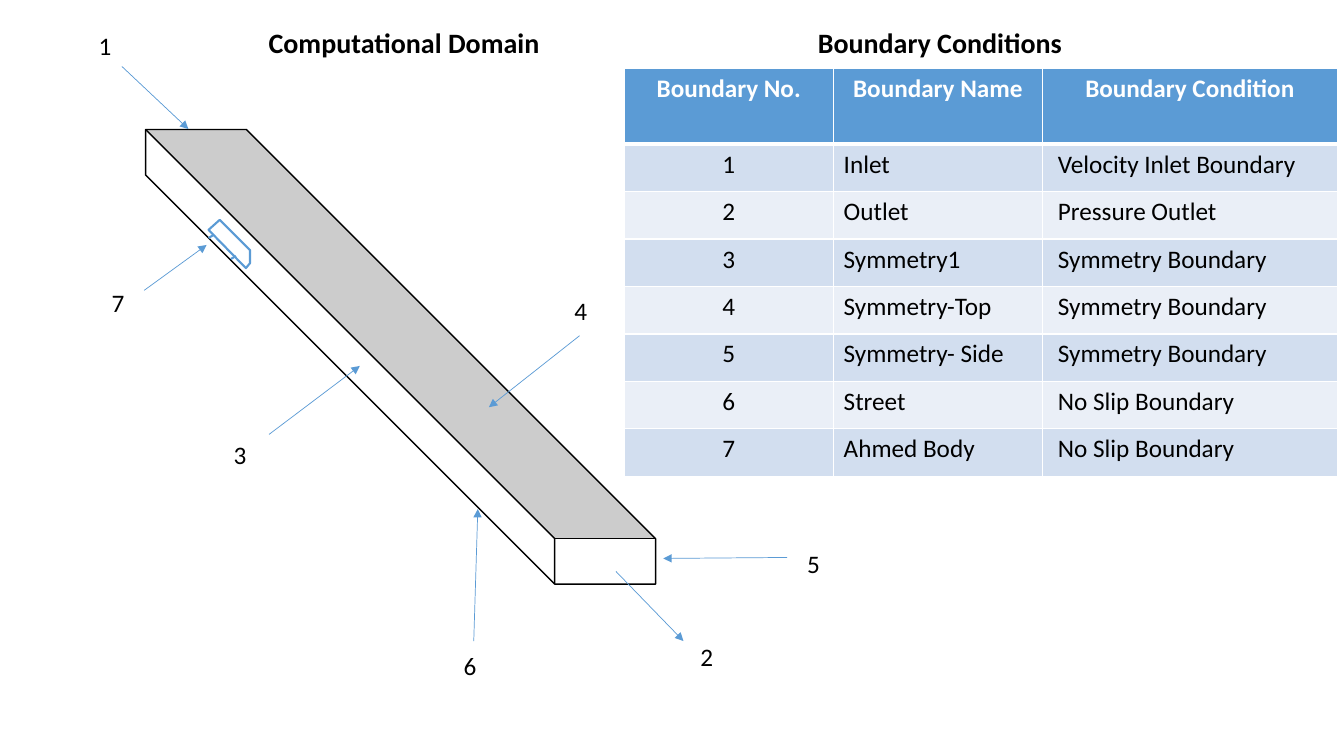
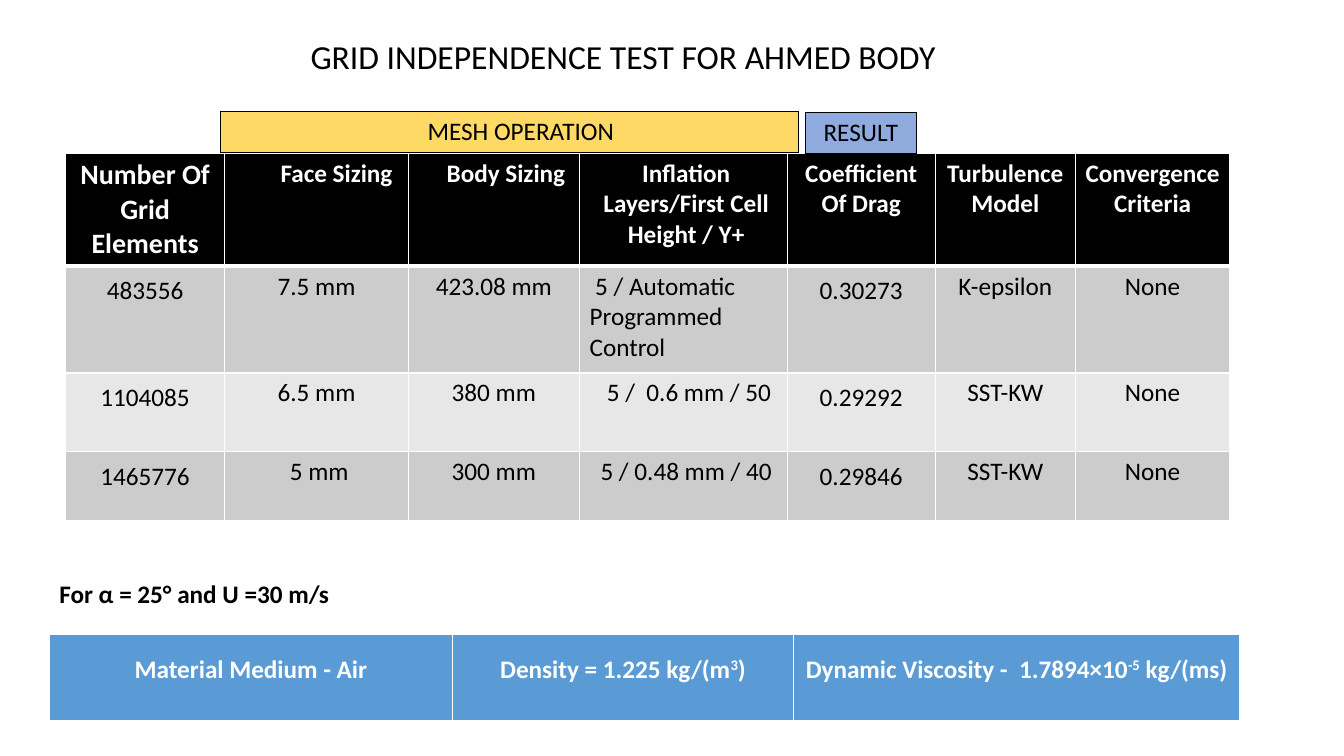
from pptx import Presentation
from pptx.dml.color import RGBColor
from pptx.enum.shapes import MSO_CONNECTOR as CONN, MSO_SHAPE as SHAPE
from pptx.enum.text import MSO_ANCHOR as ANCHOR, PP_ALIGN as ALIGN
from pptx.oxml.ns import qn
from pptx.util import Pt
from lxml.etree import SubElement

FONT = "Calibri"
BLACK, WHITE, BLUE = "000000", "FFFFFF", "5B9BD5"
GOLD, PERIWINKLE = "FFD966", "8FAADC"
BLUE_BANDS = ("D2DEEF", "EAEFF7")
GREY_BANDS = ("CCCCCC", "E7E7E7")
LEFT, CENTER = ALIGN.LEFT, ALIGN.CENTER

# Content: a cell is text or (text, extra left margin); ^...^ is superscript
BOUNDARIES = [
    ("Boundary No.", "Boundary Name", "Boundary Condition"),
    ("1", "Inlet", ("Velocity Inlet Boundary", 4)),
    ("2", "Outlet", ("Pressure Outlet", 4)),
    ("3", "Symmetry1", ("Symmetry Boundary", 4)),
    ("4", "Symmetry-Top", ("Symmetry Boundary", 4)),
    ("5", "Symmetry- Side", ("Symmetry Boundary", 4)),
    ("6", "Street", ("No Slip Boundary", 4)),
    ("7", "Ahmed Body", ("No Slip Boundary", 4)),
]
# Label, its left and top, arrow start, arrow end
CALLOUTS = [
    ("1", (63.4, 18), (87.1, 47.5), (134.6, 92.2)),
    ("2", (493.2, 454.3), (440, 408.2), (488.2, 457.9)),
    ("3", (159.8, 310.3), (192.2, 310.3), (257, 261.4)),
    ("4", (403.2, 207.4), (414, 239.8), (349.2, 290.9)),
    ("5", (569.5, 388.1), (562.3, 398.2), (473.8, 398.9)),
    ("6", (324, 460.8), (338.4, 457.9), (341.3, 363.6)),
    ("7", (72.7, 201.6), (103, 207.4), (147.6, 175)),
]
BODY_OUTLINE = [(157, 157), (178.6, 178.6), (178.6, 188), (175.7, 191.5), (149, 164.2)]
BODY_STILTS = [((149, 170), (152.6, 167.8)), ((168.5, 182.9), (164.9, 185))]

GRID_TEST = [
    ("Number Of Grid Elements", ("Face Sizing", 32.6), ("Body Sizing", 20.3),
     ("Inflation Layers/First Cell Height / Y+", 4), "Coefficient Of Drag",
     "Turbulence Model", "Convergence Criteria"),
    ("483556", "7.5 mm", "423.08 mm", "5 / Automatic\nProgrammed Control",
     "0.30273", "K-epsilon", "None"),
    ("1104085", "6.5 mm", "380 mm", ("5 /  0.6 mm / 50", 8), "0.29292", "SST-KW", "None"),
    ("1465776", ("5 mm", 4), "300 mm", ("5 / 0.48 mm / 40", 4), "0.29846", "SST-KW", "None"),
]
AIR = [("Material Medium - Air", "Density = 1.225 kg/(m^3^)",
        "Dynamic Viscosity -  1.7894×10^-5^ kg/(ms)")]


def rgb(color):
    return RGBColor.from_string(color)


def style(p, size=18, color=BLACK, bold=False, align=LEFT):
    p.alignment = align
    f = p.font
    f.name, f.size, f.bold = FONT, Pt(size), bold
    f.color.rgb = rgb(color)


def new_slide(title, left, top, width, height, **fmt):
    s = prs.slides.add_slide(prs.slide_layouts[5])
    sp = s.shapes.title
    sp.left, sp.top, sp.width, sp.height = Pt(left), Pt(top), Pt(width), Pt(height)
    tf = sp.text_frame
    tf.text, tf.vertical_anchor = title, ANCHOR.MIDDLE
    style(tf.paragraphs[0], **fmt)
    return s


def add_text(s, text, left, top, width, height=28.8, **fmt):
    tf = s.shapes.add_textbox(Pt(left), Pt(top), Pt(width), Pt(height)).text_frame
    tf.word_wrap = True
    tf.text, tf.vertical_anchor = text, ANCHOR.MIDDLE
    style(tf.paragraphs[0], **fmt)


def add_line(s, start, end, width, arrow=False):
    c = s.shapes.add_connector(CONN.STRAIGHT, *(Pt(v) for v in (*start, *end)))
    c.line.color.rgb, c.line.width = rgb(BLUE), Pt(width)
    if arrow:
        SubElement(c.line._get_or_add_ln(), qn("a:tailEnd"), type="triangle")
    SubElement(c._element.spPr, qn("a:effectLst"))


def border(cell, side, color, width):
    ln = SubElement(cell._tc.get_or_add_tcPr(), qn("a:ln" + side), w=str(Pt(width)))
    SubElement(SubElement(ln, qn("a:solidFill")), qn("a:srgbClr"), val=color)


def fill_cell(cell, content, fill, rule=WHITE, top=1, bottom=1, spacing=None, after=None, **fmt):
    text, extra = (content, 0) if isinstance(content, str) else content
    for side, width in (("L", 1), ("R", 1), ("T", top), ("B", bottom)):
        border(cell, side, rule, width)
    cell.fill.solid()
    cell.fill.fore_color.rgb = rgb(fill)
    cell.margin_left = Pt(7.2 + extra)
    tf = cell.text_frame
    for i, line in enumerate(text.split("\n")):
        p = tf.add_paragraph() if i else tf.paragraphs[0]
        style(p, **fmt)
        if spacing:
            p.line_spacing = spacing
        if after:
            p.space_after = Pt(after)
        for j, part in enumerate(line.split("^")):
            r = p.add_run()
            r.text = part
            if j % 2:
                r.font._element.set("baseline", "30000")


def add_grid(s, left, top, cols, rows):
    t = s.shapes.add_table(len(rows), len(cols), Pt(left), Pt(top),
                           Pt(sum(cols)), Pt(sum(rows))).table
    t.first_row = t.horz_banding = False
    for col, width in zip(t.columns, cols):
        col.width = Pt(width)
    for row, height in zip(t.rows, rows):
        row.height = Pt(height)
    return t


def fill_table(t, data, head, bands, formats):
    """formats maps (row is header, column) to cell options."""
    for i, row in enumerate(data):
        for j, content in enumerate(row):
            if i == 0:
                opts = dict(fill=head, color=WHITE, bold=True, bottom=3, align=CENTER)
            else:
                opts = dict(fill=bands[(i - 1) % 2], top=3 if i == 1 else 1, align=CENTER)
            opts.update(formats.get((i == 0, j), {}))
            fill_cell(t.cell(i, j), content, **opts)


def build_domain():
    heading = dict(size=20, bold=True, align=CENTER)
    s = new_slide("Computational Domain", 168.6, 14.4, 240, 32, **heading)
    add_text(s, "Boundary Conditions", 551.4, 14.4, 240, 32, **heading)

    # Flow domain
    sp = s.shapes.add_shape(SHAPE.CUBE, Pt(123.8), Pt(72.7), Pt(324.7), Pt(364.3))
    sp.rotation, sp.adjustments[0] = 270, 0.9
    sp.shadow.inherit = False
    sp.fill.solid()
    sp.fill.fore_color.rgb = rgb(WHITE)
    sp.line.color.rgb, sp.line.width = rgb(BLACK), Pt(1)

    # Boundary table
    t = add_grid(s, 445.7, 49, (149.8, 149, 211), [54] + [33.9] * 7)
    fill_table(t, BOUNDARIES, BLUE, BLUE_BANDS,
               {(False, 1): dict(align=LEFT), (False, 2): dict(align=LEFT)})

    # Ahmed body
    start, *rest = [(Pt(x), Pt(y)) for x, y in BODY_OUTLINE]
    outline = s.shapes.build_freeform(*start)
    outline.add_line_segments(rest, close=True)
    sp = outline.convert_to_shape()
    sp.shadow.inherit = False
    sp.fill.background()
    sp.line.color.rgb, sp.line.width = rgb(BLUE), Pt(1.5)
    for a, b in BODY_STILTS:
        add_line(s, a, b, 1.5)

    # Numbered callouts
    for label, (left, top), a, b in CALLOUTS:
        add_line(s, a, b, 0.5, arrow=True)
        add_text(s, label, left, top, 24)


def build_grid_test():
    s = new_slide("GRID INDEPENDENCE TEST FOR AHMED BODY", 214.6, 22.3, 474, 36, size=24)

    # Test results
    t = add_grid(s, 46.8, 109.4, (113.8, 131, 122.4, 148.3, 105.8, 100.1, 110.4),
                 (65.5, 76.3, 56.2, 49))
    loose = dict(spacing=1.15, after=10)
    fill_table(t, GRID_TEST, BLACK, GREY_BANDS, {
        (True, 0): dict(size=20), (True, 1): dict(align=LEFT), (True, 2): dict(align=LEFT),
        (False, 0): loose, (False, 4): loose})
    p, rest = t.cell(1, 3).text_frame.paragraphs
    p.alignment = rest.alignment = LEFT
    p._p.get_or_add_pPr().set("indent", str(Pt(4)))

    # Bands over the column groups
    for content, left, top, width, fill in (
            (("MESH OPERATION", 16), 157.7, 79.9, 412.6, GOLD),
            ("RESULT", 575.3, 80.6, 79.2, PERIWINKLE)):
        band = add_grid(s, left, top, [width], [28.8])
        fill_cell(band.cell(0, 0), content, fill, rule=BLACK, align=CENTER)

    # Flow conditions
    add_text(s, "For α = 25° and U =30 m/s", 35.3, 409.7, 216, bold=True)
    t = add_grid(s, 35.3, 452.9, (288, 243.4, 319), [62.6])
    fill_table(t, AIR, BLUE, BLUE_BANDS, {(True, j): dict(spacing=1.5) for j in range(3)})


prs = Presentation()
prs.slide_width, prs.slide_height = Pt(960), Pt(540)
build_domain()
build_grid_test()
prs.save("out.pptx")
